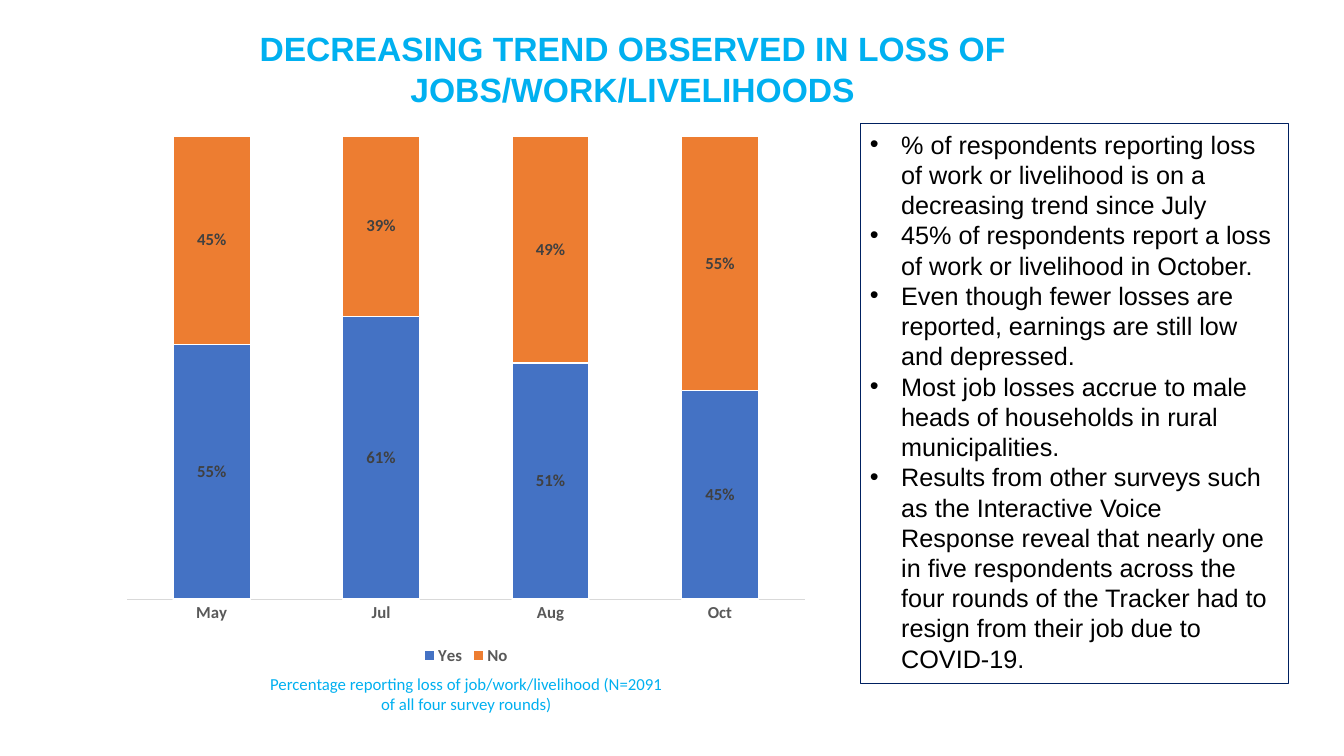
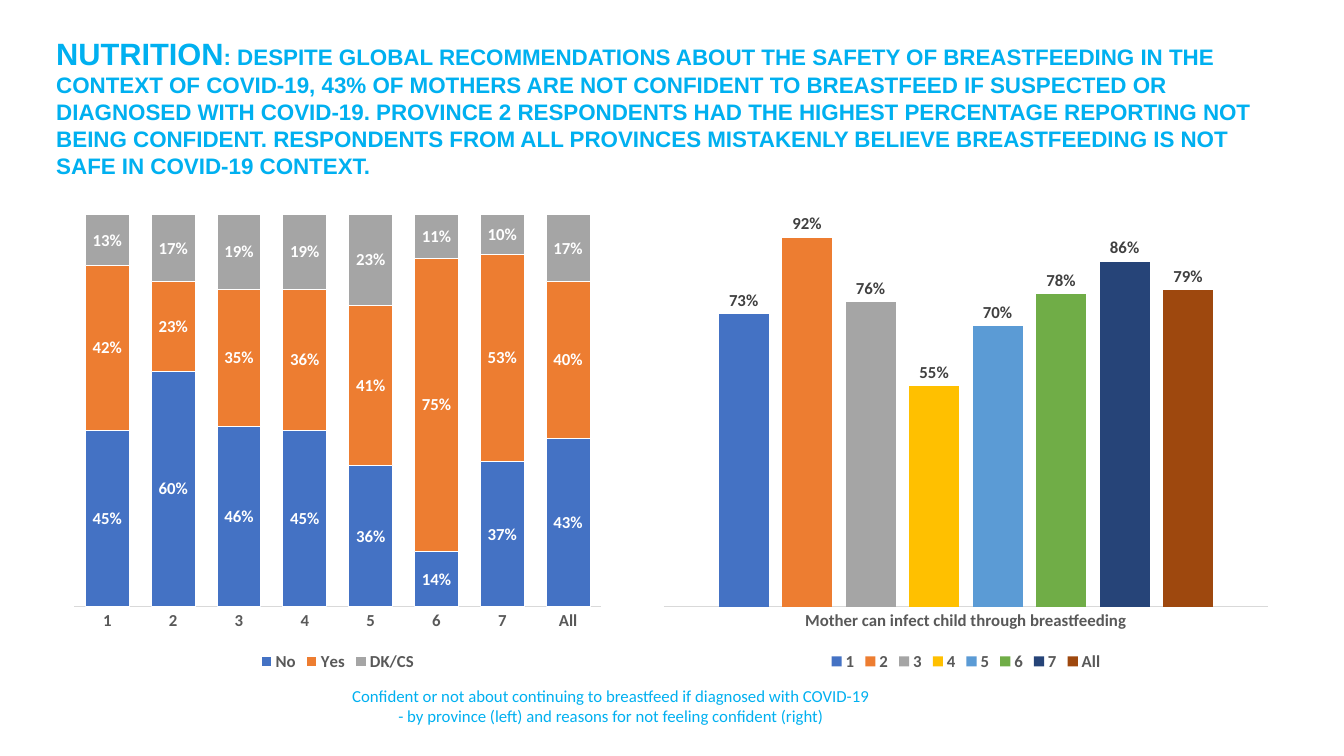
from lxml import etree
from pptx import Presentation
from pptx.chart.data import CategoryChartData
from pptx.dml.color import RGBColor
from pptx.enum import chart as kinds, text
from pptx.oxml.ns import qn
from pptx.util import Inches, Pt

COLOURS = {"heading": "00B0F0", "body": "000000", "frame": "002060", "axis": "D9D9D9",
           "muted": "595959", "dark": "404040", "white": "FFFFFF"}
SERIES_COLOURS = ["4472C4", "ED7D31", "A5A5A5", "FFC000",
                  "5B9BD5", "70AD47", "264478", "9E480E"]
CENTER, LEFT = text.PP_ALIGN.CENTER, text.PP_ALIGN.LEFT
STACKED = kinds.XL_CHART_TYPE.COLUMN_STACKED_100
CLUSTERED = kinds.XL_CHART_TYPE.COLUMN_CLUSTERED
PROVINCES = ["1", "2", "3", "4", "5", "6", "7", "All"]

# Each paragraph is a list of (words, size) runs; boxes are left, top, width, height.
SLIDES = [
    {
        "title": {"box": (0.39, 0.23, 11.77, 0.91), "align": CENTER, "paragraphs": [
            [("DECREASING TREND OBSERVED IN LOSS OF JOBS/WORK/LIVELIHOODS", 24)]]},
        "findings": {"box": (8.53, 1.23, 4.25, 5.55), "items": [
            "% of respondents reporting loss of work or livelihood is on a decreasing trend since July",
            "45% of respondents report a loss of work or livelihood in October.",
            "Even though fewer losses are reported, earnings are still low and depressed.",
            "Most job losses accrue to male heads of households in rural municipalities.",
            "Results from other surveys such as the Interactive Voice Response reveal that nearly "
            "one in five respondents across the four rounds of the Tracker had to resign from "
            "their job due to COVID-19."]},
        "caption": {"box": (2.55, 6.63, 4.15, 0.5), "lines": [
            "Percentage reporting loss of job/work/livelihood (N=2091 of all four survey rounds)"]},
        "charts": [
            {"box": (1.12, 1.24, 7, 5.4), "kind": STACKED, "gap": 120, "overlap": 100,
             "border": 1, "label": "dark", "categories": ["May", "Jul", "Aug", "Oct"],
             "series": {"Yes": [0.55, 0.61, 0.51, 0.45], "No": [0.45, 0.39, 0.49, 0.55]}}],
    },
    {
        "title": {"box": (0.46, 0.29, 12.33, 1.58), "align": LEFT, "paragraphs": [
            [("NUTRITION", 22),
             (": DESPITE GLOBAL RECOMMENDATIONS ABOUT THE SAFETY OF BREASTFEEDING IN THE CONTEXT "
              "OF COVID-19, 43% OF MOTHERS ARE NOT CONFIDENT TO BREASTFEED IF SUSPECTED OR "
              "DIAGNOSED WITH COVID-19. PROVINCE 2 RESPONDENTS HAD THE HIGHEST PERCENTAGE "
              "REPORTING NOT BEING CONFIDENT. RESPONDENTS FROM ALL PROVINCES MISTAKENLY BELIEVE "
              "BREASTFEEDING IS NOT SAFE IN COVID-19 CONTEXT.", 16)]]},
        "caption": {"box": (0.84, 6.75, 10.44, 0.5), "lines": [
            "Confident or not about continuing to breastfeed if diagnosed with COVID-19",
            "- by province (left) and reasons for not feeling confident (right)"]},
        "charts": [
            {"box": (0.63, 2.04, 5.44, 4.66), "kind": STACKED, "gap": 50, "overlap": 100,
             "border": 0.75, "label": "white", "categories": PROVINCES,
             "series": {"No": [0.45, 0.6, 0.46, 0.45, 0.36, 0.14, 0.37, 0.43],
                        "Yes": [0.42, 0.23, 0.35, 0.36, 0.41, 0.75, 0.53, 0.4],
                        "DK/CS": [0.13, 0.17, 0.19, 0.19, 0.23, 0.11, 0.1, 0.17]}},
            {"box": (6.46, 1.95, 6.24, 4.75), "kind": CLUSTERED, "gap": 219, "overlap": -27,
             "border": 0, "label": "dark",
             "categories": ["Mother can infect child through breastfeeding"],
             "series": {name: [share] for name, share in zip(
                 PROVINCES, [0.73, 0.92, 0.76, 0.55, 0.7, 0.78, 0.86, 0.79])}}],
    },
]


def rgb(name):
    return RGBColor.from_string(COLOURS[name])


def style(font, size, colour, face="Calibri", bold=False):
    font.size, font.name, font.bold = Pt(size), face, bold
    font.color.rgb = rgb(colour)


def add_words(slide, box, paragraphs, colour, face, bold=False, align=LEFT):
    words = slide.shapes.add_textbox(*map(Inches, box))
    frame = words.text_frame
    frame.word_wrap = True
    for i, runs in enumerate(paragraphs):
        paragraph = frame.add_paragraph() if i else frame.paragraphs[0]
        paragraph.alignment = align
        for words_in_run, size in runs:
            run = paragraph.add_run()
            run.text = words_in_run
            style(run.font, size, colour, face, bold)
    return words


def add_findings(slide, box, items):
    """Framed bullet list beside the chart."""
    findings = add_words(slide, box, [[(item, 18)] for item in items], "body", "Arial")
    findings.line.color.rgb = rgb("frame")
    findings.line.width = Pt(0.75)
    indent = Inches(0.31)
    for paragraph in findings.text_frame.paragraphs:
        props = paragraph._p.get_or_add_pPr()
        props.set("marL", str(indent))
        props.set("indent", str(-indent))
        etree.SubElement(props, qn("a:buFont")).set("typeface", "Arial")
        etree.SubElement(props, qn("a:buChar")).set("char", "•")


def add_columns(slide, box, kind, gap, overlap, border, label, categories, series):
    """Percentage column chart with a hidden value axis and a legend below."""
    data = CategoryChartData(number_format="0%")
    data.categories = categories
    for name, shares in series.items():
        data.add_series(name, shares)
    chart = slide.shapes.add_chart(kind, *map(Inches, box), data).chart
    style(chart.font, 12, "body", bold=True)
    chart.has_title = False
    chart.has_legend = True
    chart.legend.position = kinds.XL_LEGEND_POSITION.BOTTOM
    chart.legend.include_in_layout = False
    style(chart.legend.font, 12, "muted", bold=True)

    shares_axis = chart.value_axis
    shares_axis.visible = shares_axis.has_major_gridlines = False
    shares_axis.minimum_scale, shares_axis.maximum_scale = 0, 1
    axis = chart.category_axis
    axis.major_tick_mark = kinds.XL_TICK_MARK.NONE
    axis.format.line.color.rgb = rgb("axis")
    axis.format.line.width = Pt(0.75)
    style(axis.tick_labels.font, 12, "muted", bold=True)

    plot = chart.plots[0]
    plot.gap_width, plot.overlap, plot.vary_by_categories = gap, overlap, False
    positions = kinds.XL_LABEL_POSITION
    for column, colour in zip(plot.series, SERIES_COLOURS):
        column.format.fill.solid()
        column.format.fill.fore_color.rgb = RGBColor.from_string(colour)
        if border:
            column.format.line.color.rgb = rgb("white")
            column.format.line.width = Pt(border)
        labels = column.data_labels
        labels.show_value = True
        labels.number_format, labels.number_format_is_linked = "0%", False
        labels.position = positions.CENTER if kind == STACKED else positions.OUTSIDE_END
        style(labels.font, 12, label, bold=True)


def main():
    deck = Presentation()
    deck.slide_width, deck.slide_height = Inches(13.33), Inches(7.5)
    for content in SLIDES:
        slide = deck.slides.add_slide(deck.slide_layouts[6])
        if "findings" in content:
            add_findings(slide, **content["findings"])
        add_words(slide, **content["title"], colour="heading", face="Arial", bold=True)
        caption = content["caption"]
        add_words(slide, caption["box"], [[(line, 12)] for line in caption["lines"]],
                  "heading", "Calibri", align=CENTER)
        for chart in content["charts"]:
            add_columns(slide, **chart)
    deck.save("out.pptx")


if __name__ == "__main__":
    main()
